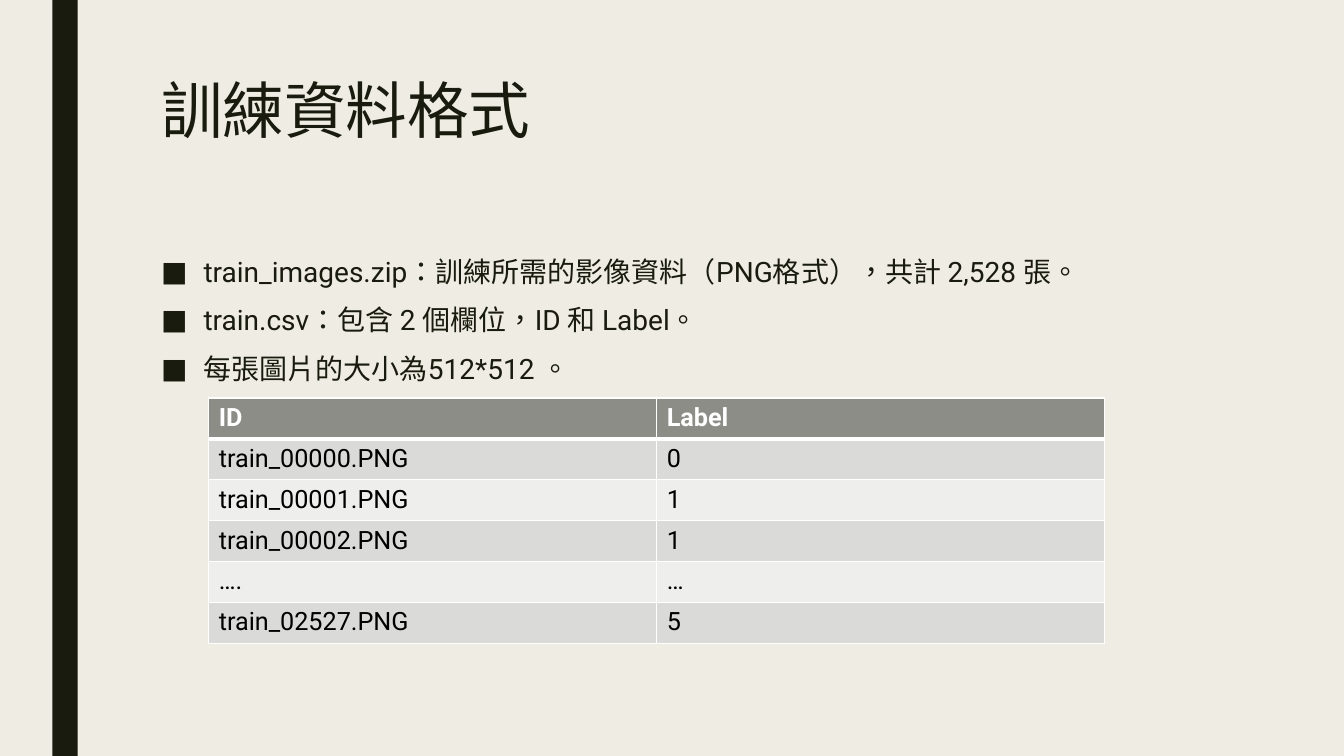
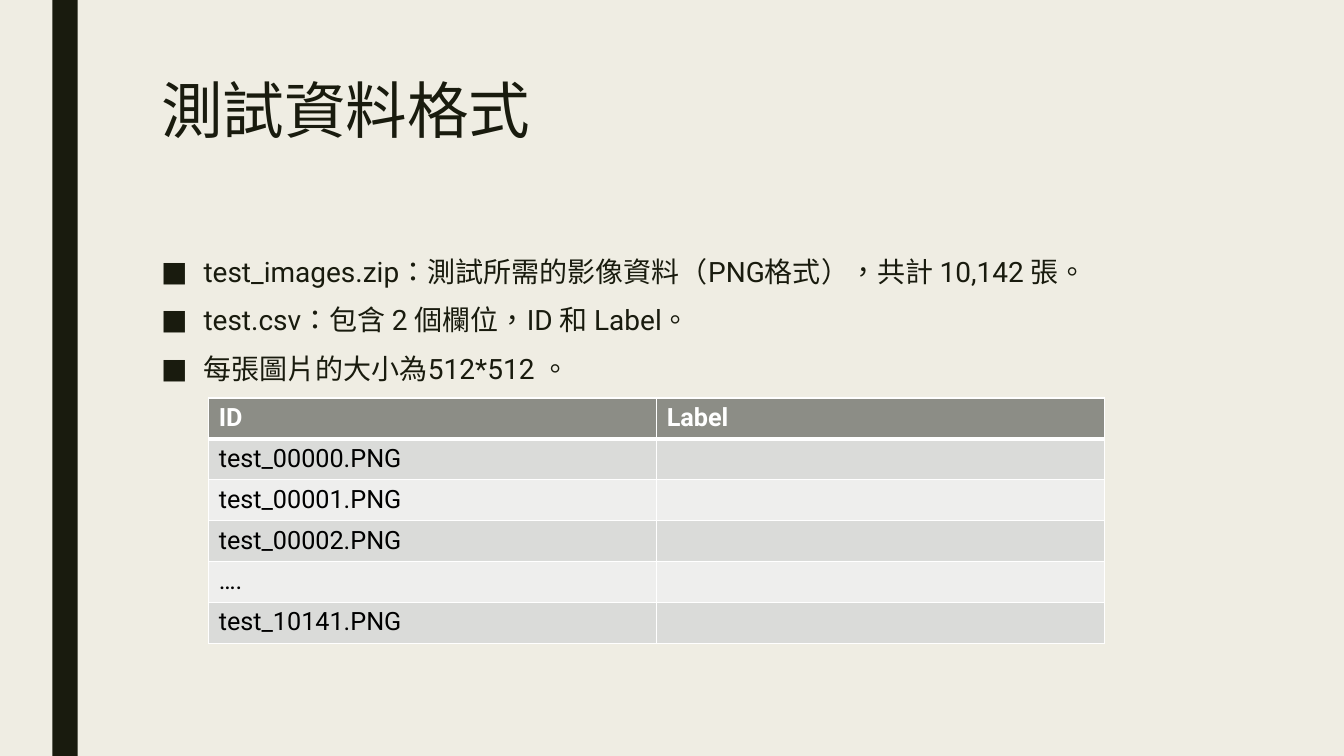
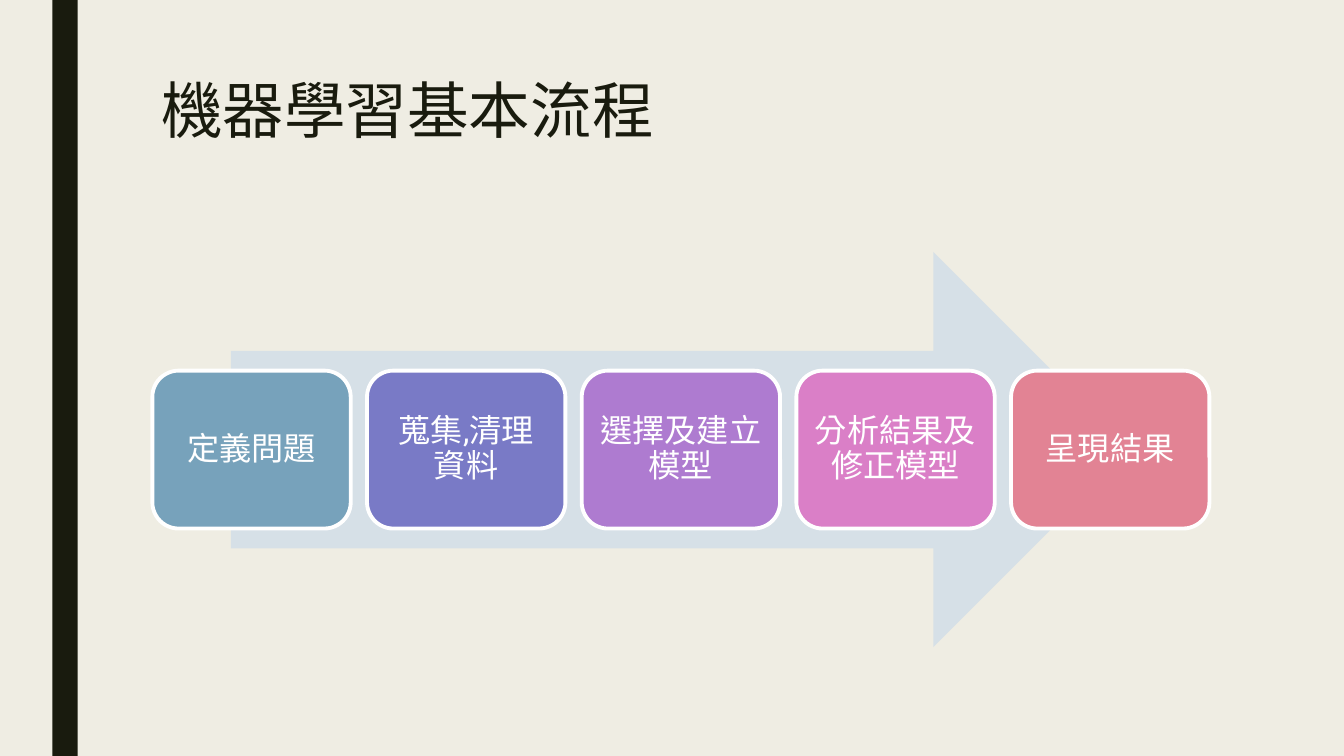
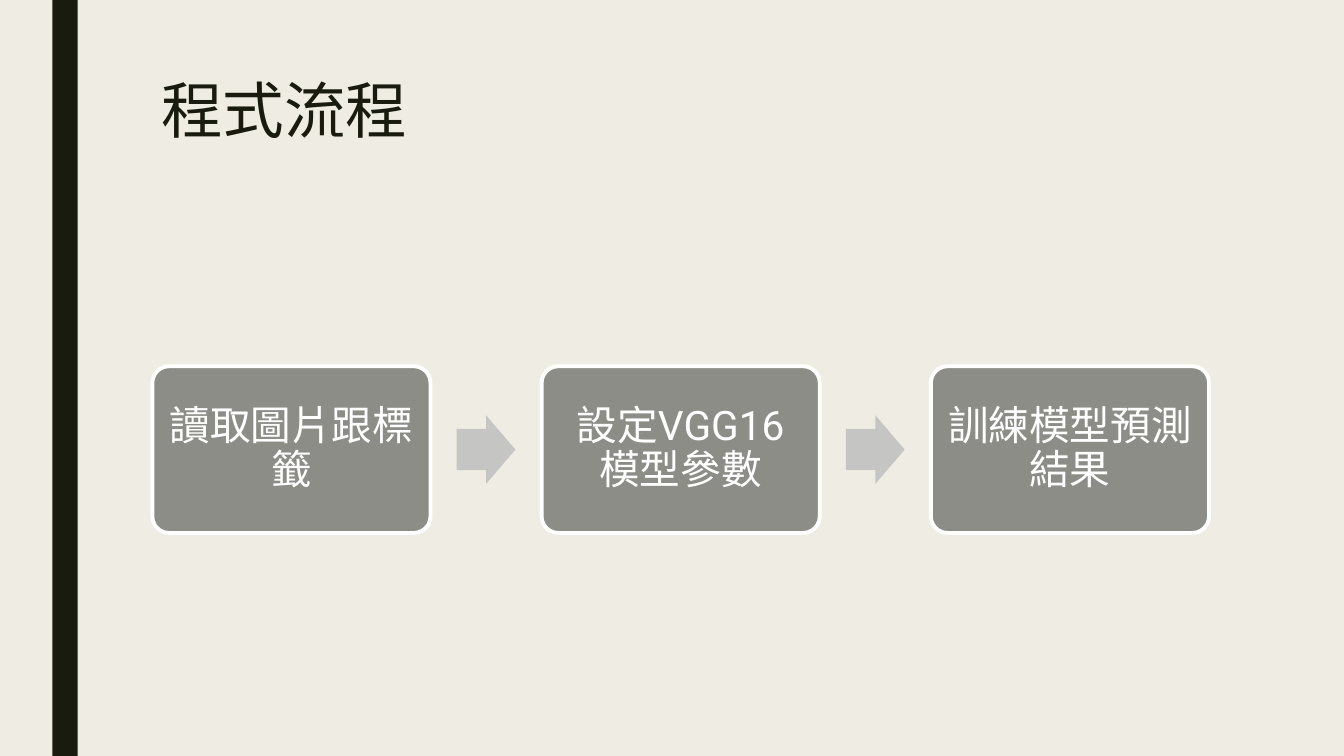
"""Builds four slides on the data formats and workflow of an image classifier."""
from pptx import Presentation
from pptx.dml.color import RGBColor
from pptx.enum.lang import MSO_LANGUAGE_ID as Lang
from pptx.enum.shapes import MSO_SHAPE as Shape
from pptx.enum.text import MSO_ANCHOR as Anchor, PP_ALIGN as Align
from pptx.oxml.ns import qn
from pptx.util import Cm, Pt
from lxml.etree import SubElement

FONT = "Roboto"
CREAM, INK, WHITE, BLACK = "EFEDE3", "191B0E", "FFFFFF", "000000"
GREY, PALE_GREY, PALE_BLUE = "8C8D86", "C5C5C3", "D6E0E7"
ROW_FILLS = ("DADBD9", "EEEEED")

LEFT, BODY_TOP, BODY_WIDTH, BODY_HEIGHT = 3.81, 6.35, 26.67, 9.96
MIDDLE = BODY_TOP + BODY_HEIGHT / 2

DATASETS = [
    {
        "title": "訓練資料格式",
        "bullets": [
            "train_images.zip：訓練所需的影像資料（PNG格式），共計 2,528 張。",
            "train.csv：包含 2 個欄位，ID 和 Label。",
            "每張圖片的大小為512*512 。",
        ],
        "rows": [
            ("ID", "Label"),
            ("train_00000.PNG", "0"),
            ("train_00001.PNG", "1"),
            ("train_00002.PNG", "1"),
            ("….", "…"),
            ("train_02527.PNG", "5"),
        ],
    },
    {
        "title": "測試資料格式",
        "bullets": [
            "test_images.zip：測試所需的影像資料（PNG格式），共計 10,142 張。",
            "test.csv：包含 2 個欄位，ID 和 Label。",
            "每張圖片的大小為512*512 。",
        ],
        "rows": [
            ("ID", "Label"),
            ("test_00000.PNG", ""),
            ("test_00001.PNG", ""),
            ("test_00002.PNG", ""),
            ("….", ""),
            ("test_10141.PNG", ""),
        ],
    },
]
LEARNING_TITLE = "機器學習基本流程"
LEARNING_STEPS = [
    ("定義問題", "77A2BB"),
    ("蒐集,清理資料", "797AC6"),
    ("選擇及建立模型", "AE7BD0"),
    ("分析結果及修正模型", "DA7FC7"),
    ("呈現結果", "E28394"),
]
PROGRAM_TITLE = "程式流程"
PROGRAM_STEPS = ["讀取圖片跟標籤", "設定VGG16模型參數", "訓練模型預測結果"]


def rgb(color):
    """Turn a hex string into a colour."""
    return RGBColor.from_string(color)


def write(frame, lines, size, color, bold=False, align=Align.LEFT, spacing=1.0,
          before=0, after=0, bullet=None):
    """Write one paragraph for each line, all in one format."""
    frame.word_wrap = True
    for index, line in enumerate(lines):
        paragraph = frame.add_paragraph() if index else frame.paragraphs[0]
        paragraph.alignment, paragraph.line_spacing = align, spacing
        paragraph.space_before, paragraph.space_after = Pt(before), Pt(after)
        if bullet:
            properties = paragraph._p.get_or_add_pPr()
            properties.set("marL", str(Cm(1.07)))
            properties.set("indent", str(-Cm(1.07)))
            SubElement(properties, qn("a:buFont"), typeface=FONT)
            SubElement(properties, qn("a:buChar"), char=bullet)
        run = paragraph.add_run()
        run.text = line
        font = run.font
        font.name, font.size, font.bold = FONT, Pt(size), bold
        font.color.rgb = rgb(color)
        font.language_id = Lang.TRADITIONAL_CHINESE


def add_figure(slide, kind, left, top, width, height, fill, outline=None, adjustments=()):
    """Add a flat preset shape, with an outline if a colour is given."""
    figure = slide.shapes.add_shape(kind, Cm(left), Cm(top), Cm(width), Cm(height))
    figure.shadow.inherit = False
    figure.fill.solid()
    figure.fill.fore_color.rgb = rgb(fill)
    if outline:
        figure.line.color.rgb = rgb(outline)
        figure.line.width = Pt(2.75)
    else:
        figure.line.fill.background()
    for index, value in enumerate(adjustments):
        figure.adjustments[index] = value
    return figure


def add_text(slide, lines, left, top, width, height, **style):
    """Add a wrapped text box."""
    box = slide.shapes.add_textbox(Cm(left), Cm(top), Cm(width), Cm(height))
    write(box.text_frame, lines, **style)


def add_step(slide, label, left, width, height, fill, size, inset, adjustments=()):
    """Add a rounded, centred step on the middle line of the body."""
    step = add_figure(slide, Shape.ROUNDED_RECTANGLE, left, MIDDLE - height / 2,
                      width, height, fill, WHITE, adjustments)
    frame = step.text_frame
    frame.vertical_anchor = Anchor.MIDDLE
    frame.margin_left = frame.margin_right = Cm(inset)
    frame.margin_top = frame.margin_bottom = Cm(inset)
    write(frame, [label], size=size, color=WHITE, align=Align.CENTER, spacing=0.9)


def add_borders(cell, top, bottom):
    """Give a cell white borders, with top and bottom widths in points."""
    properties = cell._tc.get_or_add_tcPr()
    for side, width in (("L", 1), ("R", 1), ("T", top), ("B", bottom)):
        line = SubElement(properties, qn(f"a:ln{side}"), w=str(Pt(width)))
        solid = SubElement(line, qn("a:solidFill"))
        SubElement(solid, qn("a:srgbClr"), val=WHITE)


def add_samples(slide, rows):
    """Add the table of sample rows under its header."""
    samples = slide.shapes.add_table(len(rows), len(rows[0]), Cm(5.26), Cm(10.03),
                                     Cm(22.58), Cm(6.18)).table
    samples.horz_banding = False
    for r, row in enumerate(rows):
        header = r == 0
        for c, value in enumerate(row):
            cell = samples.cell(r, c)
            add_borders(cell, top=3 if r == 1 else 1, bottom=3 if header else 1)
            cell.fill.solid()
            cell.fill.fore_color.rgb = rgb(GREY if header else ROW_FILLS[(r - 1) % 2])
            if value:
                write(cell.text_frame, [value], size=18, bold=header,
                      color=WHITE if header else BLACK)


def new_slide(deck, title):
    """Add a slide with the background, side band and title."""
    slide = deck.slides.add_slide(deck.slide_layouts[6])
    slide.background.fill.solid()
    slide.background.fill.fore_color.rgb = rgb(CREAM)
    add_figure(slide, Shape.RECTANGLE, 1.32, 0, 0.64, 19.05, INK)
    add_text(slide, [title], LEFT, 1.91, BODY_WIDTH, 4.11, size=44, color=INK, spacing=0.89)
    return slide


def build_dataset(deck, dataset):
    """Build a slide on one data set."""
    slide = new_slide(deck, dataset["title"])
    add_text(slide, dataset["bullets"], LEFT, BODY_TOP, BODY_WIDTH, BODY_HEIGHT, size=20,
             color=INK, spacing=0.94, before=10, after=2, bullet="■")
    add_samples(slide, dataset["rows"])


def build_learning(deck):
    """Build the machine learning steps over one wide arrow."""
    slide = new_slide(deck, LEARNING_TITLE)
    add_figure(slide, Shape.RIGHT_ARROW, 5.82, BODY_TOP, 22.68, BODY_HEIGHT, PALE_BLUE)
    width, gap = 5, 0.41
    for index, (label, fill) in enumerate(LEARNING_STEPS):
        add_step(slide, label, 3.84 + index * (width + gap), width, 3.98, fill,
                 size=23, inset=0.24)


def build_program(deck):
    """Build the program steps with an arrow in each gap."""
    slide = new_slide(deck, PROGRAM_TITLE)
    width, gap = 7.01, 2.8
    arrow_width, arrow_height = 1.48, 1.73
    for index, label in enumerate(PROGRAM_STEPS):
        left = 3.84 + index * (width + gap)
        if index:
            add_figure(slide, Shape.RIGHT_ARROW, left - (gap + arrow_width) / 2,
                       MIDDLE - arrow_height / 2, arrow_width, arrow_height,
                       PALE_GREY, adjustments=(0.6, 0.5))
        add_step(slide, label, left, width, 4.2, GREY, size=29, inset=0.3,
                 adjustments=(0.1,))


def main():
    """Build and save the slides."""
    deck = Presentation()
    deck.slide_width, deck.slide_height = Cm(33.87), Cm(19.05)
    for dataset in DATASETS:
        build_dataset(deck, dataset)
    build_learning(deck)
    build_program(deck)
    deck.save("out.pptx")


if __name__ == "__main__":
    main()
